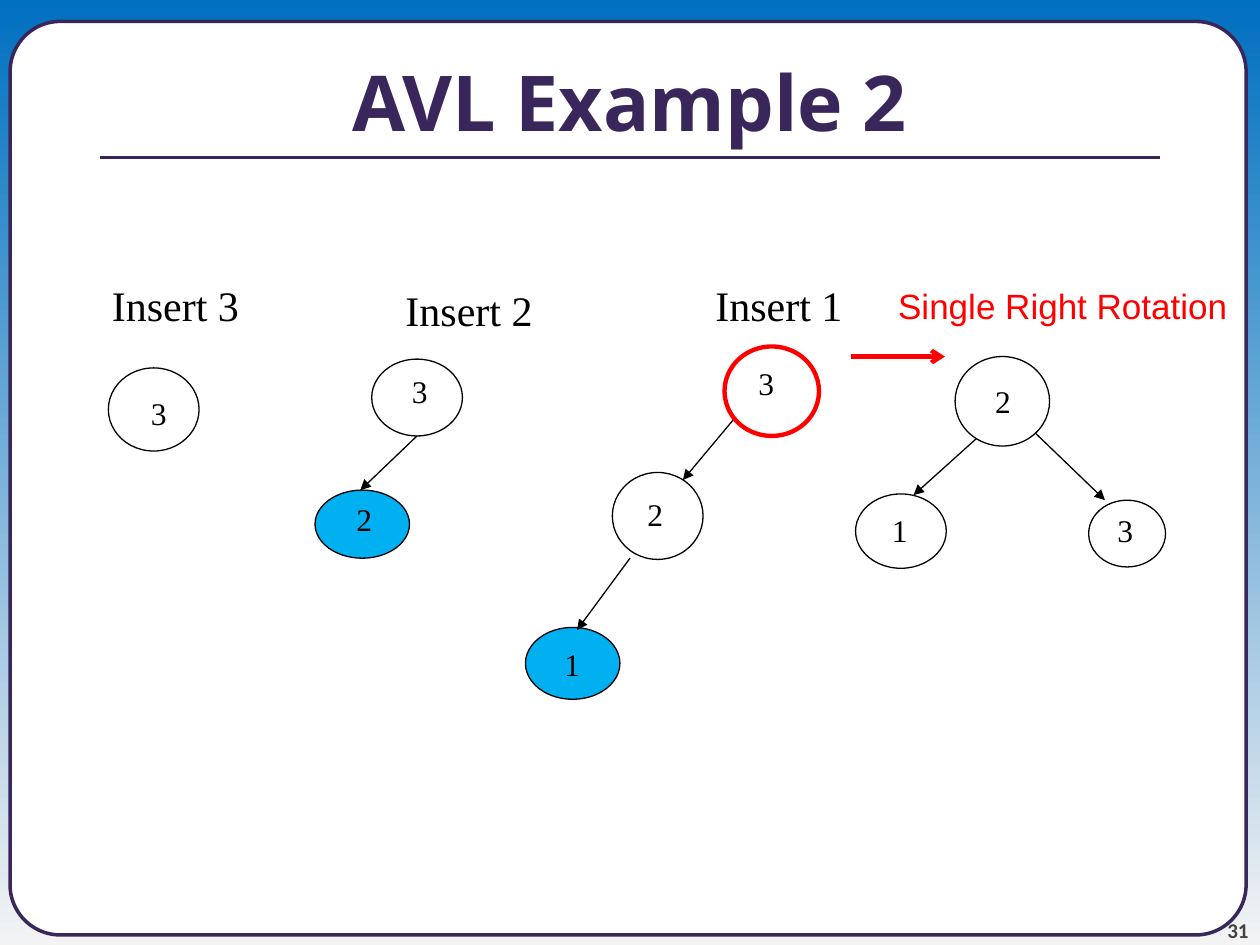
from lxml import etree
from pptx import Presentation
from pptx.dml.color import RGBColor
from pptx.enum.shapes import MSO_CONNECTOR, MSO_SHAPE
from pptx.enum.text import MSO_ANCHOR, PP_ALIGN
from pptx.oxml.ns import qn
from pptx.util import Inches, Pt

PURPLE, BLACK, RED, WHITE, NEW = "39275B", "000000", "FF0000", "FFFFFF", "00B0F0"
SERIF = "Times New Roman"

# Each node: ellipse box, label, label box, fill
NODES = [
    ((0.86, 2.92, 0.72, 0.66), "3", (1.1, 3.08, 0.33, 0.37), None),
    ((2.95, 2.85, 0.72, 0.61), "3", (3.17, 2.9, 0.58, 0.4), None),
    ((2.5, 3.89, 0.75, 0.54), "2", (2.73, 3.92, 0.35, 0.4), NEW),
    ((5.75, 2.75, 0.75, 0.71), "3", (5.92, 2.84, 1.33, 0.4), None),
    ((4.86, 3.75, 0.72, 0.69), "2", (5.04, 3.88, 0.83, 0.4), None),
    ((4.17, 4.98, 0.75, 0.57), "1", (4.38, 5.07, 0.42, 0.4), NEW),
    ((7.58, 2.83, 0.75, 0.71), "2", (7.8, 2.98, 0.34, 0.4), None),
    ((6.79, 3.92, 0.72, 0.59), "1", (6.98, 4.01, 0.36, 0.4), None),
    ((8.64, 3.97, 0.61, 0.53), "3", (8.77, 4.01, 0.61, 0.4), None),
]
EDGES = [
    ((3.31, 3.46), (2.86, 3.89)),
    ((5.83, 3.32), (5.42, 3.81)),
    ((5, 4.43), (4.58, 5)),
    ((7.75, 3.48), (7.25, 3.93)),
    ((8.22, 3.44), (8.77, 3.97)),
]
STEPS = [("Insert 3", 0.79, 2.17), ("Insert 2", 3.12, 2.21), ("Insert 1", 5.58, 2.17)]


def rgb(color):
    return RGBColor.from_string(color)


def set_background(s):
    fill = s.background.fill
    fill.gradient()
    fill.gradient_angle = 270
    for stop, position, color in zip(fill.gradient_stops, (0, 1), ("0070C0", "F3F3F3")):
        stop.position = position
        stop.color.rgb = rgb(color)


def add_shape(s, kind, box, line, width, fill=None):
    sp = s.shapes.add_shape(kind, *map(Inches, box))
    sp.shadow.inherit = False
    if fill:
        sp.fill.solid()
        sp.fill.fore_color.rgb = rgb(fill)
    else:
        sp.fill.background()
    sp.line.color.rgb = rgb(line)
    sp.line.width = Pt(width)
    return sp


def add_text(s, text, box, size, font=SERIF, color=BLACK, bold=False,
             align=PP_ALIGN.LEFT, **frame):
    """Add a text box; frame holds text frame attributes."""
    tf = s.shapes.add_textbox(*map(Inches, box)).text_frame
    for name, value in {"word_wrap": True, **frame}.items():
        setattr(tf, name, value)
    p = tf.paragraphs[0]
    p.alignment = align
    r = p.add_run()
    r.text = text
    for name, value in {"name": font, "size": Pt(size), "bold": bold}.items():
        setattr(r.font, name, value)
    r.font.color.rgb = rgb(color)


def add_line(s, start, end, color=BLACK, width=0.75, head=None):
    c = s.shapes.add_connector(MSO_CONNECTOR.STRAIGHT, *map(Inches, start + end))
    c.line.color.rgb = rgb(color)
    c.line.width = Pt(width)
    if head:
        etree.SubElement(c.line._get_or_add_ln(), qn("a:tailEnd"), type=head)
    etree.SubElement(c._element.spPr, qn("a:effectLst"))


def add_node(s, box, label, label_box, fill):
    add_shape(s, MSO_SHAPE.OVAL, box, BLACK, 0.75, fill)
    add_text(s, label, label_box, 18)


def add_frame(s):
    """Add the panel, page number, rule and title."""
    panel = add_shape(s, MSO_SHAPE.ROUNDED_RECTANGLE, (0.08, 0.17, 9.81, 7.25),
                      PURPLE, 2, WHITE)
    panel.adjustments[0] = 0.055
    margins = {f"margin_{side}": 0 for side in ("left", "top", "right", "bottom")}
    add_text(s, "31", (9.08, 7.08, 0.83, 0.4), 12, "Calibri", "424242", True,
             PP_ALIGN.RIGHT, vertical_anchor=MSO_ANCHOR.BOTTOM, **margins)
    add_line(s, (0.79, 1.25), (9.21, 1.25), PURPLE, 2.25)
    add_text(s, "AVL Example 2", (0, 0.17, 10, 1.25), 44, "Open Sans", PURPLE, True,
             PP_ALIGN.CENTER, vertical_anchor=MSO_ANCHOR.MIDDLE)


def main():
    prs = Presentation()
    prs.slide_width, prs.slide_height = Inches(10), Inches(7.5)
    s = prs.slides.add_slide(prs.slide_layouts[6])
    set_background(s)
    add_frame(s)
    for text, left, top in STEPS:
        add_text(s, text, (left, top, 1.54, 0.5), 24)
    for node in NODES:
        add_node(s, *node)
    for start, end in EDGES:
        add_line(s, start, end, head="triangle")
    unbalanced = NODES[3][0]
    add_shape(s, MSO_SHAPE.OVAL, unbalanced, RED, 2.5)
    add_line(s, (6.75, 2.83), (7.5, 2.83), RED, 2.5, "arrow")
    add_text(s, "Single Right Rotation", (7.03, 2.21, 2.93, 0.44), 20, "Arial", RED,
             word_wrap=False)
    prs.save("out.pptx")


if __name__ == "__main__":
    main()
